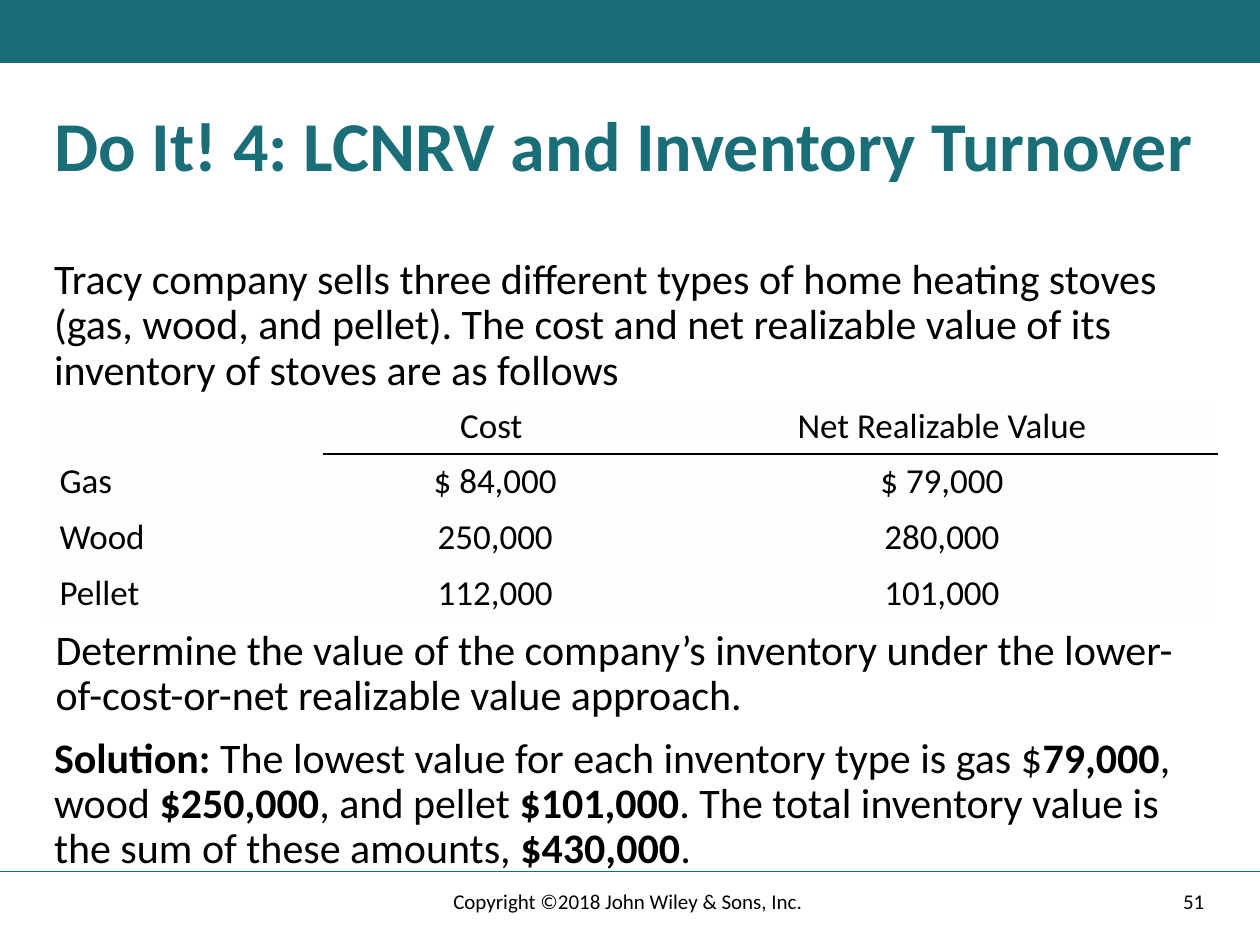
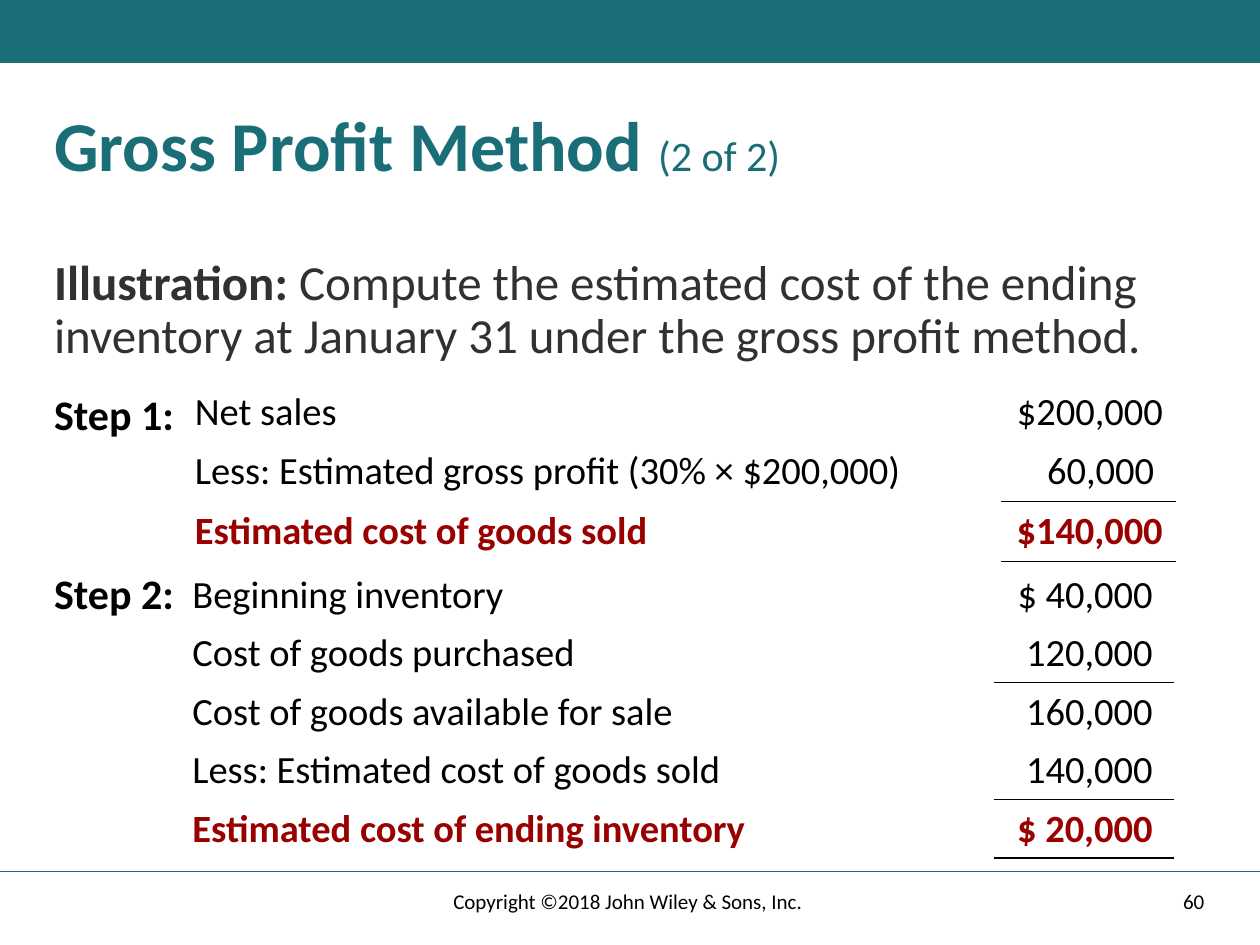
"""Build two inventory slides: LCNRV exercise and gross profit method."""
from lxml.etree import SubElement
from pptx import Presentation
from pptx.dml.color import RGBColor
from pptx.enum.shapes import MSO_CONNECTOR, MSO_SHAPE
from pptx.enum.text import MSO_ANCHOR as ANCHOR, MSO_AUTO_SIZE as AUTO_SIZE, PP_ALIGN as ALIGN
from pptx.oxml.ns import qn
from pptx.util import Cm, Pt

TEAL = RGBColor(0x19, 0x6E, 0x78)
BLACK = RGBColor(0, 0, 0)
CHARCOAL = RGBColor(0x30, 0x31, 0x30)
WHITE = RGBColor(0xFF, 0xFF, 0xFF)
OFF_WHITE = RGBColor(0xFF, 0xFE, 0xFE)
RED = RGBColor(0x99, 0, 0)
FONT = "Calibri"
MARGIN, TEXT_WIDTH = 0.84, 23.7


def write(frame, runs, size, color, align=ALIGN.LEFT, spacing=1.0, anchor=ANCHOR.TOP):
    """Fill a text frame with one paragraph of (text, bold[, size]) runs."""
    frame.word_wrap = True
    frame.auto_size = AUTO_SIZE.NONE
    frame.vertical_anchor = anchor
    para = frame.paragraphs[0]
    para.alignment = align
    para.line_spacing = spacing
    for text, bold, *own_size in runs:
        span = para.add_run()
        span.text = text
        span.font.name = FONT
        span.font.size = Pt(own_size[0] if own_size else size)
        span.font.bold = bold
        span.font.color.rgb = color


def add_ruled_table(page, left, top, widths, row_height, rows, ruled, size, aligns,
                    side=0.25, edge=0.13, anchor=ANCHOR.BOTTOM, fill=WHITE, total=None):
    """Add a plain table with a black rule under the amounts of each ruled row."""
    table = page.shapes.add_table(len(rows), len(widths), Cm(left), Cm(top),
                                  Cm(sum(widths)), Cm(row_height * len(rows))).table
    table.first_row = table.horz_banding = False
    for column, width in zip(table.columns, widths):
        column.width = Cm(width)
    for r, values in enumerate(rows):
        table.rows[r].height = Cm(row_height)
        for c, value in enumerate(values):
            cell = table.cell(r, c)
            cell.margin_left = cell.margin_right = Cm(side)
            cell.margin_top = cell.margin_bottom = Cm(edge)
            cell.vertical_anchor = anchor
            properties = cell._tc.get_or_add_tcPr()
            rules = {"a:lnL": False, "a:lnR": False,
                     "a:lnT": c > 0 and r - 1 in ruled, "a:lnB": c > 0 and r in ruled}
            for tag, black in rules.items():
                border = SubElement(properties, qn(tag), w=str(Pt(1)))
                paint = SubElement(border, qn("a:solidFill"))
                SubElement(paint, qn("a:srgbClr"), val=str(BLACK if black else WHITE))
            cell.fill.solid()
            cell.fill.fore_color.rgb = fill
            para = cell.text_frame.paragraphs[0]
            para.alignment = aligns[c]
            if value:
                span = para.add_run()
                span.text = value
                span.font.name = FONT
                span.font.size = Pt(size)
                span.font.bold = r == total
                span.font.color.rgb = RED if r == total else BLACK


deck = Presentation()
deck.slide_width, deck.slide_height = Cm(25.4), Cm(19.05)

SLIDES = [
    ("51", [("Do It! 4: LCNRV and Inventory Turnover", True)], [
        (MARGIN, 5.08, TEXT_WIDTH, 2.79, 24, BLACK, [
            ("Tracy company sells three different types of home heating stoves (gas, wood, and "
             "pellet). The cost and net realizable value of its inventory of stoves are as follows",
             False)]),
        (0.87, 12.55, TEXT_WIDTH, 1.7, 24, BLACK, [
            ("Determine the value of the company’s inventory under the "
             "lower-of-cost-or-net realizable value approach.", False)]),
        (MARGIN, 14.73, TEXT_WIDTH, 2.84, 24, BLACK, [
            ("Solution: ", True),
            ("The lowest value for each inventory type is gas $", False),
            ("79,000", True), (", wood ", False),
            ("$250,000", True), (", and pellet ", False),
            ("$101,000", True),
            (". The total inventory value is the sum of these amounts, ", False),
            ("$430,000", True), (".", False)]),
    ]),
    ("60", [("Gross Profit Method ", True), ("(2 of 2)", False, 24)], [
        (MARGIN, 5.08, TEXT_WIDTH, 2.54, 28, CHARCOAL, [
            ("Illustration: ", True),
            ("Compute the estimated cost of the ending inventory at January 31 "
             "under the gross profit method.", False)]),
        (MARGIN, 7.82, 2.97, 0.84, 24, BLACK, [("Step 1:", True)]),
        (MARGIN, 11.43, 2.97, 0.84, 24, BLACK, [("Step 2:", True)]),
    ]),
]

pages = []
for number, title_runs, texts in SLIDES:
    page = deck.slides.add_slide(deck.slide_layouts[5])
    pages.append(page)

    band = page.shapes.add_shape(MSO_SHAPE.RECTANGLE, 0, 0, deck.slide_width, Cm(1.27))
    band.shadow.inherit = False
    band.fill.solid()
    band.fill.fore_color.rgb = TEAL
    band.line.fill.background()

    footer_rule = page.shapes.add_connector(
        MSO_CONNECTOR.STRAIGHT, 0, Cm(17.57), deck.slide_width, Cm(17.57))
    footer_rule.line.color.rgb = TEAL
    footer_rule.line.width = Pt(1)
    SubElement(footer_rule._element.spPr, qn("a:effectLst"))

    title = page.shapes.title
    title.left, title.top = Cm(MARGIN), Cm(2.12)
    title.width, title.height = Cm(TEXT_WIDTH), Cm(2.75)
    write(title.text_frame, title_runs, 40, TEAL, spacing=0.9)

    for left, top, width, height, size, color, runs in texts:
        box = page.shapes.add_textbox(Cm(left), Cm(top), Cm(width), Cm(height))
        write(box.text_frame, runs, size, color, spacing=0.9)

    for left, width, text, align in [
            (17.93, 6.6, number, ALIGN.RIGHT),
            (8.41, 8.59, "Copyright ©2018 John Wiley & Sons, Inc. ", ALIGN.CENTER)]:
        box = page.shapes.add_textbox(Cm(left), Cm(17.65), Cm(width), Cm(1.02))
        write(box.text_frame, [(text, False)], 12, BLACK, align, anchor=ANCHOR.MIDDLE)

lcnrv_page, gross_profit_page = pages

add_ruled_table(
    lcnrv_page, MARGIN, 8.03, [5.69, 6.91, 11.1], 1.1,
    [("", "Cost ", "Net Realizable Value"),
     ("Gas", "$ 84,000", "$ 79,000"),
     ("Wood", "250,000", "280,000"),
     ("Pellet", "112,000", "101,000")],
    {0}, 20, [ALIGN.LEFT, ALIGN.CENTER, ALIGN.CENTER],
    side=0.36, anchor=ANCHOR.TOP, fill=OFF_WHITE)

add_ruled_table(
    gross_profit_page, 3.68, 7.7, [16.51, 3.5], 1.2,
    [("Net sales", "$200,000 "),
     ("Less: Estimated gross profit (30% × $200,000)", "60,000 "),
     ("Estimated cost of goods sold", "$140,000 ")],
    {1, 2}, 22, [ALIGN.LEFT, ALIGN.RIGHT], total=2)

add_ruled_table(
    gross_profit_page, 3.63, 11.4, [16.43, 3.6], 1.18,
    [("Beginning inventory", "$ 40,000 "),
     ("Cost of goods purchased", "120,000 "),
     ("Cost of goods available for sale", "160,000 "),
     ("Less: Estimated cost of goods sold", "140,000 "),
     ("Estimated cost of ending inventory", "$ 20,000 ")],
    {1, 3, 4}, 22, [ALIGN.LEFT, ALIGN.RIGHT], edge=0.11, total=4)

deck.save("out.pptx")
